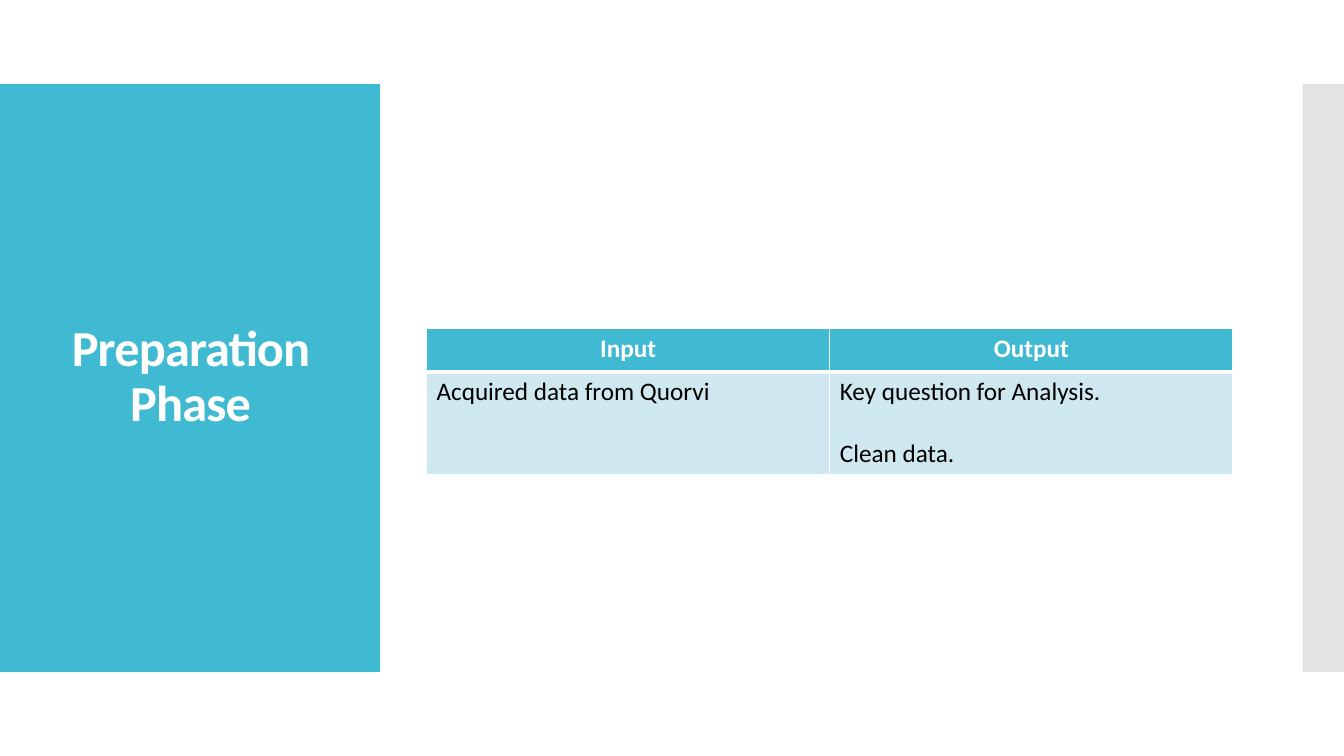
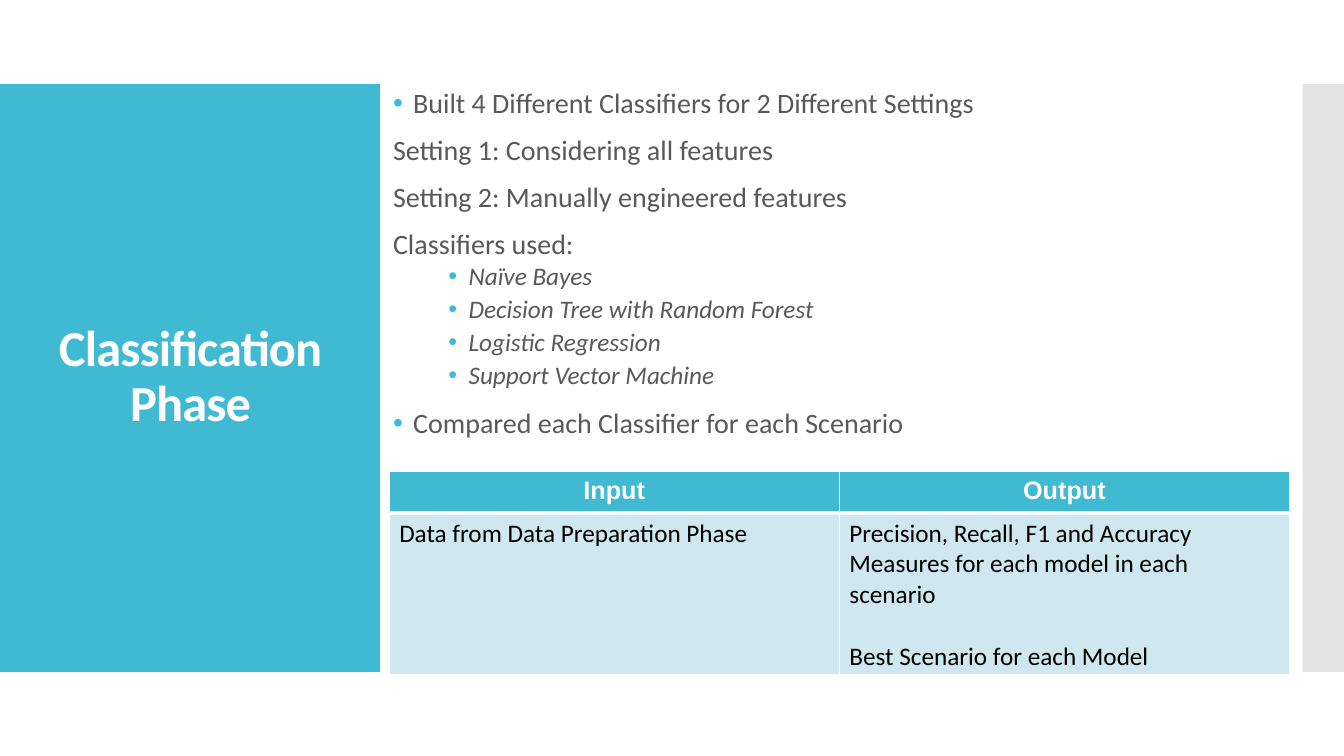
from lxml import etree
from pptx import Presentation
from pptx.dml.color import RGBColor
from pptx.enum.shapes import MSO_SHAPE
from pptx.enum.text import MSO_ANCHOR, MSO_AUTO_SIZE, PP_ALIGN
from pptx.oxml.ns import qn
from pptx.util import Inches, Pt

RECT = MSO_SHAPE.RECTANGLE
MIDDLE = MSO_ANCHOR.MIDDLE
CENTER, LEFT = PP_ALIGN.CENTER, PP_ALIGN.LEFT
NO_FIT = MSO_AUTO_SIZE.NONE

# Shared style
TEAL, PALE, GREY = "40BAD2", "CFE7EE", "C8C8C8"
WHITE, BLACK, TEXT = "FFFFFF", "000000", "595959"
FONT = "Calibri"
W, H = 13.33, 7.5
BAND_TOP, BAND_H = H / 9, H * 7 / 9
LINE_GAP = 22  # one blank line of 18 pt text


def color(hex_text):
    return RGBColor.from_string(hex_text)


def box(*lengths):
    return [Inches(v) for v in lengths]


def add_run(p, text, size, hex_text, font=FONT, bold=False, italic=False):
    r = p.add_run()
    r.text = text
    f = r.font
    f.name, f.size, f.bold, f.italic = font, Pt(size), bold, italic
    f.color.rgb = color(hex_text)
    return r


def add_band(s, left, width, hex_text, opacity=100):
    sp = s.shapes.add_shape(RECT, *box(left, BAND_TOP, width, BAND_H))
    sp.shadow.inherit = False
    sp.fill.solid()
    sp.fill.fore_color.rgb = color(hex_text)
    sp.line.fill.background()
    if opacity < 100:
        clr = sp.fill._xPr.find(".//" + qn("a:srgbClr"))
        etree.SubElement(clr, qn("a:alpha"), val=str(opacity * 1000))


def add_phase_slide(prs, title_lines):
    s = prs.slides.add_slide(prs.slide_layouts[5])
    add_band(s, 0, 3.77, TEAL)
    add_band(s, W - 0.41, 0.41, GREY, opacity=50)
    # Title, brought in front of the band
    sp = s.shapes.title
    s.shapes._spTree.append(sp._element)
    sp.left, sp.top, sp.width, sp.height = box(0.28, 1.23, 3.22, 5.03)
    tf = sp.text_frame
    tf.word_wrap, tf.auto_size, tf.vertical_anchor = True, NO_FIT, MIDDLE
    p = tf.paragraphs[0]
    p.alignment, p.line_spacing = CENTER, 0.9
    for i, line in enumerate(title_lines):
        if i:
            p.add_line_break()
        r = add_run(p, line, 36, WHITE, bold=True)
        r.font._element.set("spc", "-60")
    return s


def set_bullet(p, margin, hang=0.2):
    pPr = p._p.get_or_add_pPr()
    pPr.set("marL", str(Inches(margin)))
    pPr.set("indent", str(-Inches(hang)))
    clr = etree.SubElement(pPr, qn("a:buClr"))
    etree.SubElement(clr, qn("a:srgbClr"), val=TEAL)
    etree.SubElement(pPr, qn("a:buFont"), typeface="Arial")
    etree.SubElement(pPr, qn("a:buChar"), char="•")


def add_body(s, left, top, width, height, items):
    """Items are (kind, text); kind is bullet, plain or sub."""
    tf = s.shapes.add_textbox(*box(left, top, width, height)).text_frame
    tf.word_wrap = True
    for i, (kind, text) in enumerate(items):
        p = tf.paragraphs[0] if i == 0 else tf.add_paragraph()
        sub = kind == "sub"
        p.line_spacing = 0.9
        p.space_before = Pt(0 if i == 0 else 2 if sub else 12)
        p.space_after = Pt(2 if sub else 0)
        if kind != "plain":
            set_bullet(p, 0.75 if sub else 0.2)
        add_run(p, text, 18 if sub else 20, TEXT, italic=sub)


def set_borders(cell, **widths):
    tcPr = cell._tc.get_or_add_tcPr()
    for side in "LRTB":
        ln = etree.SubElement(tcPr, qn("a:ln" + side), w=str(Pt(widths.get(side, 1))))
        fill = etree.SubElement(ln, qn("a:solidFill"))
        etree.SubElement(fill, qn("a:srgbClr"), val=WHITE)


def fill_cell(cell, lines, header, font):
    set_borders(cell, **({"B": 3} if header else {"T": 3}))
    cell.fill.solid()
    cell.fill.fore_color.rgb = color(TEAL if header else PALE)
    tf = cell.text_frame
    for i, line in enumerate(lines):
        p = tf.add_paragraph() if i else tf.paragraphs[0]
        p.alignment = CENTER if header else LEFT
        if i:
            p.space_before = Pt(LINE_GAP)
        add_run(p, line, 18, WHITE if header else BLACK, font, bold=header)


def add_io_table(s, left, top, width, row_heights, inputs, outputs, head_font=FONT):
    rows = [(["Input"], ["Output"]), (inputs, outputs)]
    frame = s.shapes.add_table(2, 2, *box(left, top, width, sum(row_heights)))
    table = frame.table
    for column in table.columns:
        column.width = Inches(width / 2)
    for i, (height, row) in enumerate(zip(row_heights, rows)):
        table.rows[i].height = Inches(height)
        for j, lines in enumerate(row):
            fill_cell(table.cell(i, j), lines, i == 0, FONT if i else head_font)


def main():
    prs = Presentation()
    prs.slide_width, prs.slide_height = box(W, H)

    # Preparation
    s = add_phase_slide(prs, ["Preparation Phase"])
    add_io_table(s, 4.23, 3.26, 8, (0.43, 1),
                 ["Acquired data from Quorvi"],
                 ["Key question for Analysis.", "Clean data."])

    # Classification
    s = add_phase_slide(prs, ["Classification", "Phase"])
    add_body(s, 3.8, 0.84, 8, 3.7, [
        ("bullet", "Built 4 Different Classifiers for 2 Different Settings"),
        ("plain", "Setting 1: Considering all features"),
        ("plain", "Setting 2: Manually engineered features"),
        ("plain", "Classifiers used:"),
        ("sub", "Naïve Bayes"),
        ("sub", "Decision Tree with Random Forest"),
        ("sub", "Logistic Regression"),
        ("sub", "Support Vector Machine"),
        ("bullet", "Compared each Classifier for each Scenario"),
    ])
    add_io_table(s, 3.86, 4.68, 8.93, (0.41, 1.6),
                 ["Data from Data Preparation Phase"],
                 ["Precision, Recall, F1 and Accuracy Measures for each model in each scenario",
                  "Best Scenario for each Model"],
                 head_font="Arial")
    prs.save("out.pptx")


if __name__ == "__main__":
    main()
